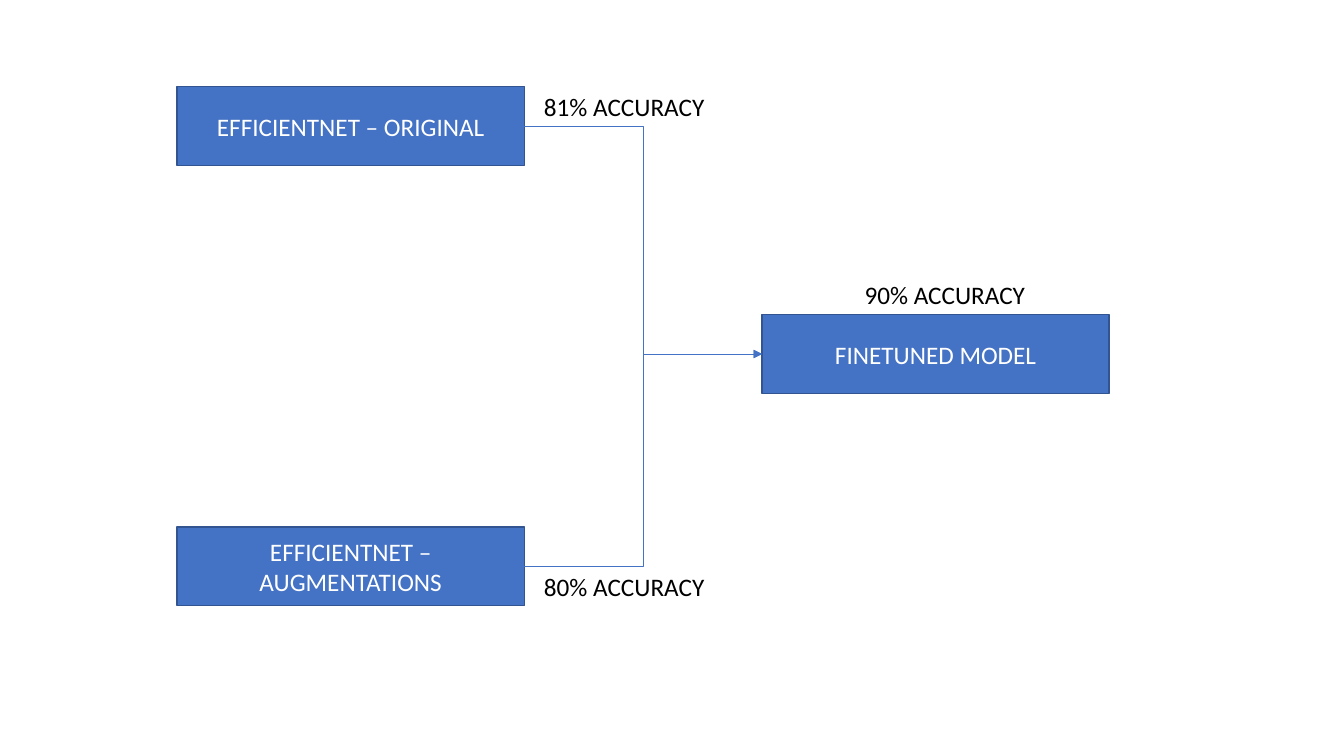
import pptx
import pptx.dml.color
import pptx.enum.shapes
import pptx.enum.text
import pptx.oxml.ns
import pptx.util
from lxml import etree

Pt = pptx.util.Pt
RGBColor = pptx.dml.color.RGBColor

BLUE = RGBColor(0x44, 0x72, 0xC4)
DARK_BLUE = RGBColor(0x32, 0x54, 0x91)
WHITE = RGBColor(0xFF, 0xFF, 0xFF)
BLACK = RGBColor(0x00, 0x00, 0x00)

BOX_WIDTH, BOX_HEIGHT = 248, 56.2
LABEL_WIDTH, LABEL_HEIGHT = 130.3, 29.1
RIGHT_SIDE, LEFT_SIDE = 3, 1


def set_text(shape, text, color):
    """Write one paragraph of 18 point Calibri into a shape."""
    shape.text_frame.text = text
    font = shape.text_frame.paragraphs[0].runs[0].font
    font.name = "Calibri"
    font.size = Pt(18)
    font.color.rgb = color


def add_model(slide, left, top, name, accuracy, label_offset):
    """Draw a model box and its accuracy label, placed from the box corner."""
    box = slide.shapes.add_shape(
        pptx.enum.shapes.MSO_SHAPE.RECTANGLE,
        Pt(left), Pt(top), Pt(BOX_WIDTH), Pt(BOX_HEIGHT))
    box.shadow.inherit = False
    box.fill.solid()
    box.fill.fore_color.rgb = BLUE
    box.line.color.rgb = DARK_BLUE
    box.line.width = Pt(1)
    set_text(box, name, WHITE)
    box.text_frame.word_wrap = True
    box.text_frame.vertical_anchor = pptx.enum.text.MSO_ANCHOR.MIDDLE
    box.text_frame.paragraphs[0].alignment = pptx.enum.text.PP_ALIGN.CENTER

    offset_x, offset_y = label_offset
    label = slide.shapes.add_textbox(
        Pt(left + offset_x), Pt(top + offset_y), Pt(LABEL_WIDTH), Pt(LABEL_HEIGHT))
    set_text(label, accuracy, BLACK)
    label.text_frame.word_wrap = False
    label.text_frame.auto_size = pptx.enum.text.MSO_AUTO_SIZE.SHAPE_TO_FIT_TEXT
    return box


def add_arrow(slide, source, target):
    """Join the right side of one box to the left side of another."""
    arrow = slide.shapes.add_connector(
        pptx.enum.shapes.MSO_CONNECTOR.ELBOW,
        source.left + source.width, source.top + source.height // 2,
        target.left, target.top + target.height // 2)
    arrow.begin_connect(source, RIGHT_SIDE)
    arrow.end_connect(target, LEFT_SIDE)
    arrow.line.color.rgb = BLUE
    arrow.line.width = Pt(0.5)
    qualified = pptx.oxml.ns.qn
    properties = arrow._element.spPr
    line = properties.find(qualified("a:ln"))
    etree.SubElement(line, qualified("a:tailEnd"), type="triangle")
    etree.SubElement(properties, qualified("a:effectLst"))


def add_diagram(slide, left, top):
    """Draw two source models that lead to the finetuned model."""
    original = add_model(
        slide, left, top, "EFFICIENTNET – ORIGINAL", "81% ACCURACY", (255, -0.5))
    augmented = add_model(
        slide, left, top + 314.5, "EFFICIENTNET – AUGMENTATIONS", "80% ACCURACY",
        (255, BOX_HEIGHT / 2))
    finetuned = add_model(
        slide, left + 417.8, top + 162.8, "FINETUNED MODEL", "90% ACCURACY",
        (66.2, -LABEL_HEIGHT))
    for source in (original, augmented):
        add_arrow(slide, source, finetuned)


def main():
    """Build the presentation and save it."""
    presentation = pptx.Presentation()
    presentation.slide_width = Pt(960)
    presentation.slide_height = Pt(540)
    slide = presentation.slides.add_slide(presentation.slide_layouts[6])
    add_diagram(slide, 126.5, 62)
    presentation.save("out.pptx")


if __name__ == "__main__":
    main()
